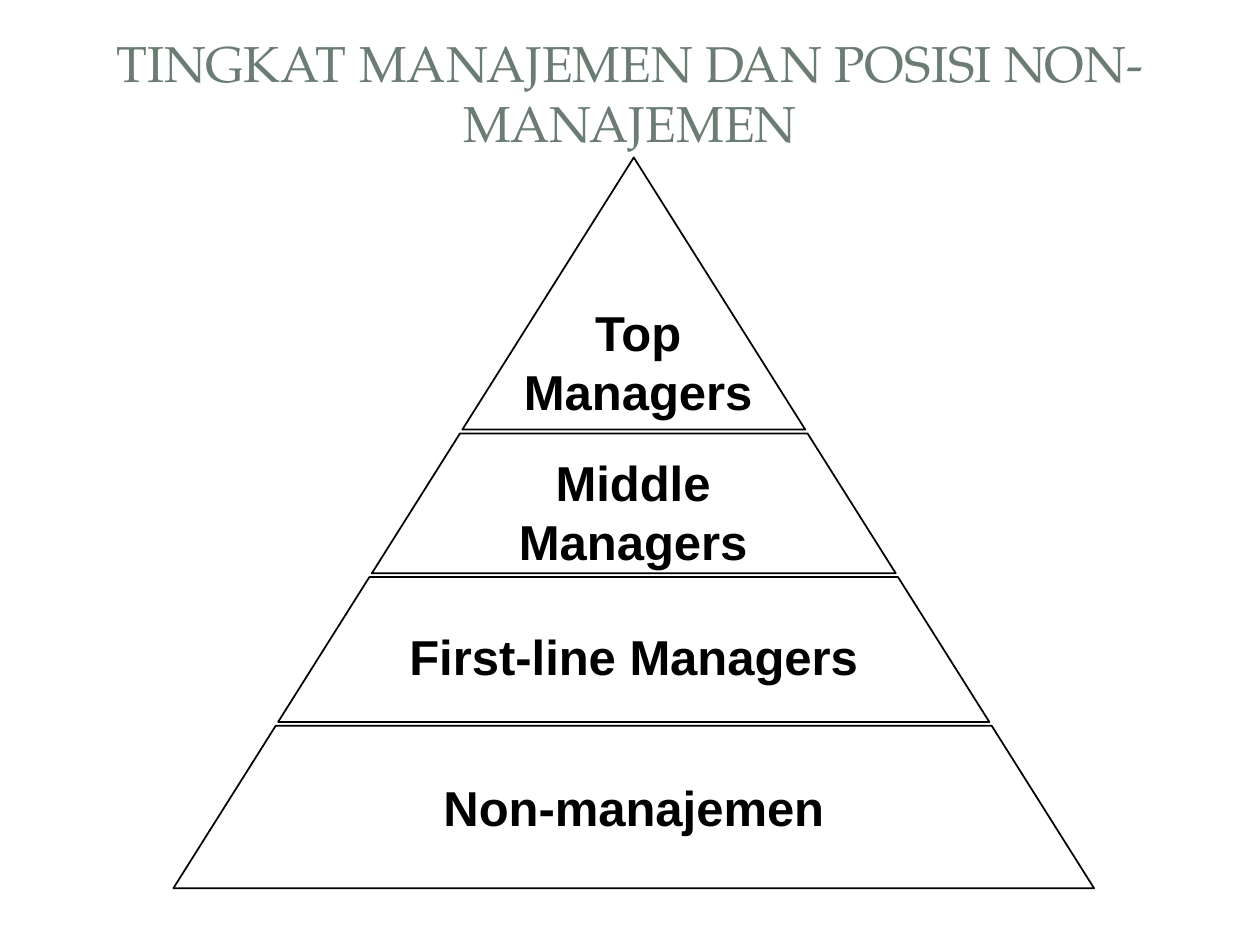
"""Build a slide with a four-tier management pyramid."""
from dataclasses import dataclass

from pptx import Presentation
from pptx.dml.color import RGBColor
from pptx.enum.text import MSO_ANCHOR, PP_ALIGN
from pptx.util import Inches, Pt

CENTER = PP_ALIGN.CENTER
TOP = MSO_ANCHOR.TOP
MIDDLE = MSO_ANCHOR.MIDDLE

SLIDE_WIDTH = Inches(10)
SLIDE_HEIGHT = Inches(7.5)
COLUMN = SLIDE_WIDTH / 100
ROW = SLIDE_HEIGHT / 75

APEX_COLUMN = 50.3
APEX_ROW = 12.5
HALF_WIDTH_PER_ROW = 0.63

BLACK = "000000"
WHITE = "FFFFFF"
SAGE = "6B7D72"


@dataclass(frozen=True)
class Label:
    """Text with its box in grid columns and rows."""

    text: str
    left: float
    top: float
    width: float
    height: float


@dataclass(frozen=True)
class Tier:
    """Pyramid slice between two grid rows, with its label."""

    top: float
    bottom: float
    label: Label


@dataclass(frozen=True)
class TextStyle:
    """Look of a label."""

    font: str
    size: float
    color: str
    bold: bool
    anchor: MSO_ANCHOR


TITLE = Label("TINGKAT MANAJEMEN DAN POSISI NON-MANAJEMEN", 5, 3, 90, 8.7)
TITLE_STYLE = TextStyle("TeX Gyre Pagella", 28.8, SAGE, False, MIDDLE)
TIER_STYLE = TextStyle("Arial", 28, BLACK, True, TOP)

TIERS = (
    Tier(57.6, 70.5, Label("Non-manajemen", 23.4, 61.2, 53.8, 5.6)),
    Tier(45.8, 57.3, Label("First-line Managers", 30.6, 49.2, 39.4, 5.6)),
    Tier(34.4, 45.5, Label("Middle Managers", 33.8, 35.4, 32.9, 5.6)),
    Tier(APEX_ROW, 34.1, Label("Top Managers", 39.4, 23.5, 22.5, 10.3)),
)


def rgb(color: str) -> RGBColor:
    """Turn a hex string into a colour."""
    return RGBColor.from_string(color)


def edge_points(row: float) -> tuple:
    """Return the left and right pyramid edge at a row."""
    half_width = (row - APEX_ROW) * HALF_WIDTH_PER_ROW
    return tuple(
        (round((APEX_COLUMN + side * half_width) * COLUMN), round(row * ROW))
        for side in (-1, 1)
    )


def draw_tier(slide, tier: Tier) -> None:
    """Draw the outline of one pyramid slice."""
    top_left, top_right = edge_points(tier.top)
    bottom_left, bottom_right = edge_points(tier.bottom)
    corners = [bottom_left, bottom_right, top_right]
    if top_left != top_right:
        corners.append(top_left)
    builder = slide.shapes.build_freeform(*corners[0])
    builder.add_line_segments(corners[1:], close=True)
    shape = builder.convert_to_shape()
    shape.shadow.inherit = False
    shape.fill.solid()
    shape.fill.fore_color.rgb = rgb(WHITE)
    shape.line.color.rgb = rgb(BLACK)
    shape.line.width = Pt(1)


def draw_label(slide, label: Label, style: TextStyle) -> None:
    """Add a centred, wrapping text box."""
    shape = slide.shapes.add_textbox(
        round(label.left * COLUMN),
        round(label.top * ROW),
        round(label.width * COLUMN),
        round(label.height * ROW),
    )
    text_frame = shape.text_frame
    text_frame.word_wrap = True
    text_frame.vertical_anchor = style.anchor
    text_frame.text = label.text
    paragraph = text_frame.paragraphs[0]
    paragraph.alignment = CENTER
    font = paragraph.runs[0].font
    font.name = style.font
    font.size = Pt(style.size)
    font.bold = style.bold
    font.color.rgb = rgb(style.color)


def main() -> None:
    """Build and save the presentation."""
    presentation = Presentation()
    presentation.slide_width = SLIDE_WIDTH
    presentation.slide_height = SLIDE_HEIGHT
    slide = presentation.slides.add_slide(presentation.slide_layouts[6])
    draw_label(slide, TITLE, TITLE_STYLE)
    for tier in TIERS:
        draw_tier(slide, tier)
    for tier in reversed(TIERS):
        draw_label(slide, tier.label, TIER_STYLE)
    presentation.save("out.pptx")


if __name__ == "__main__":
    main()
